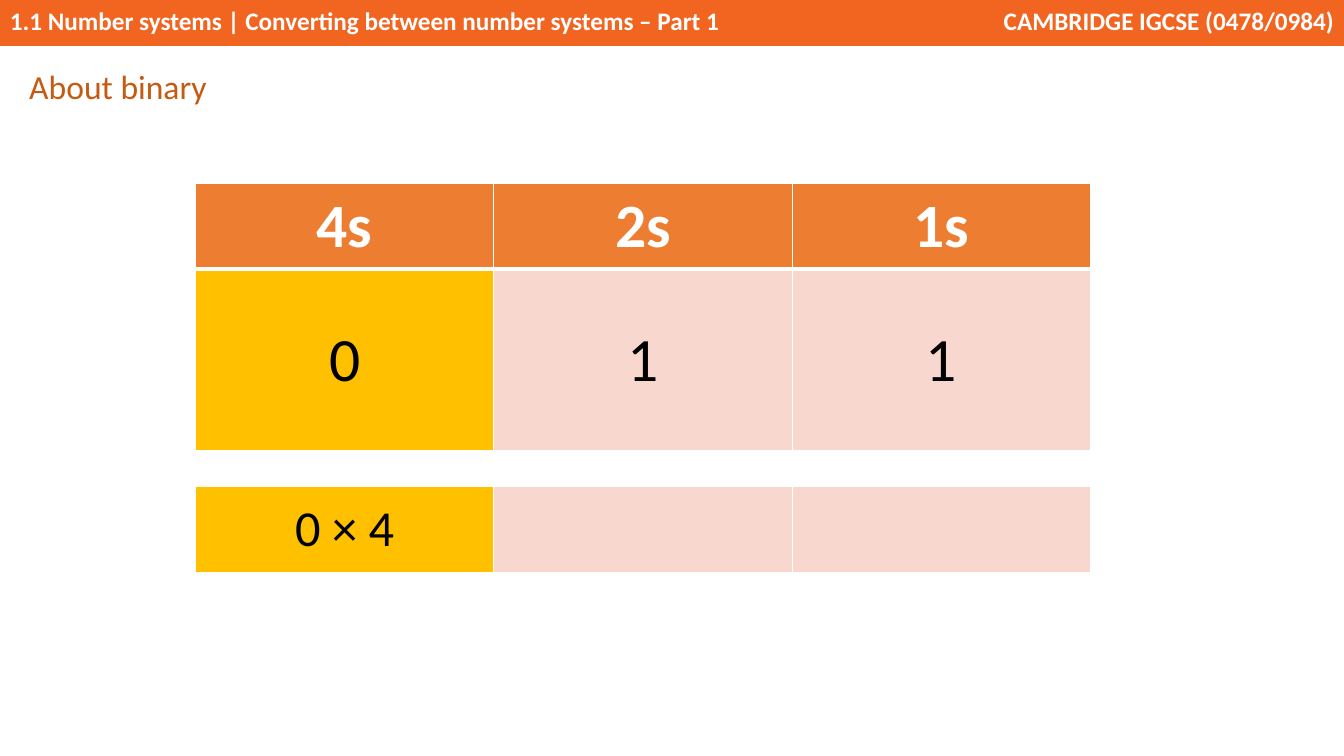
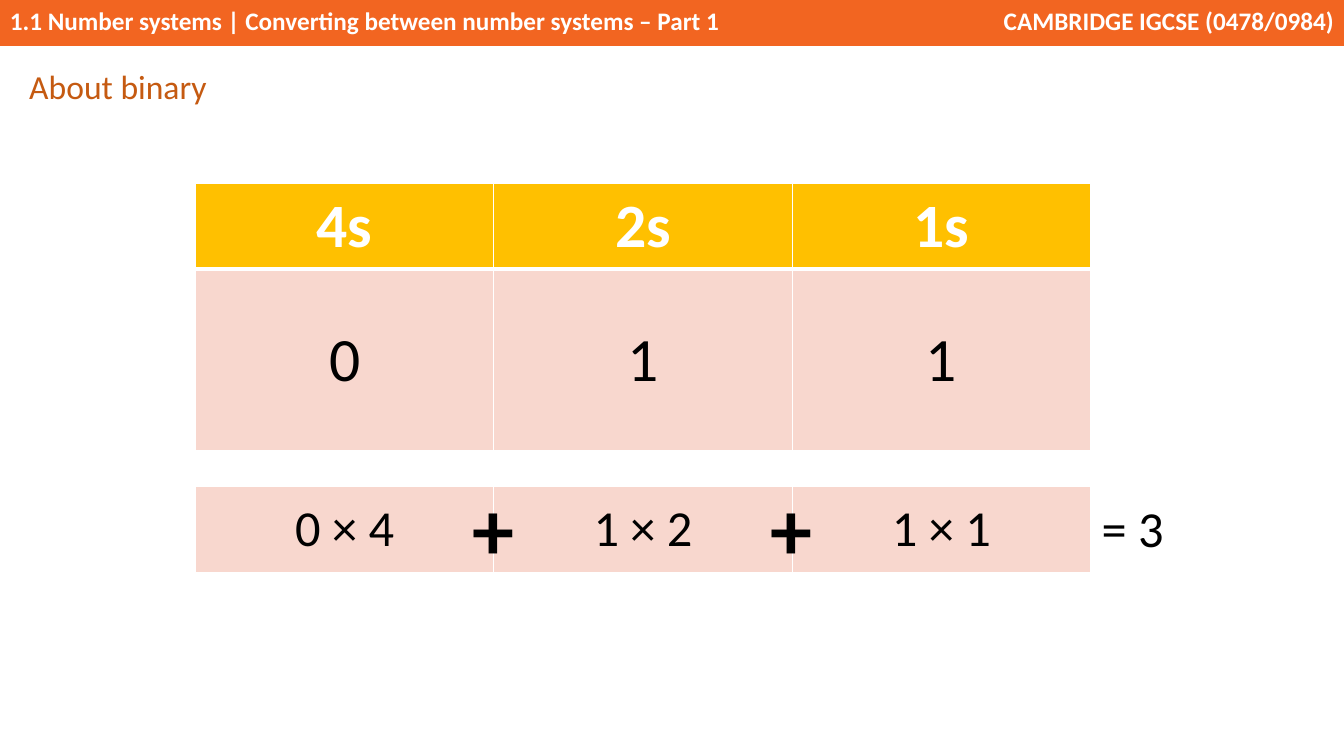
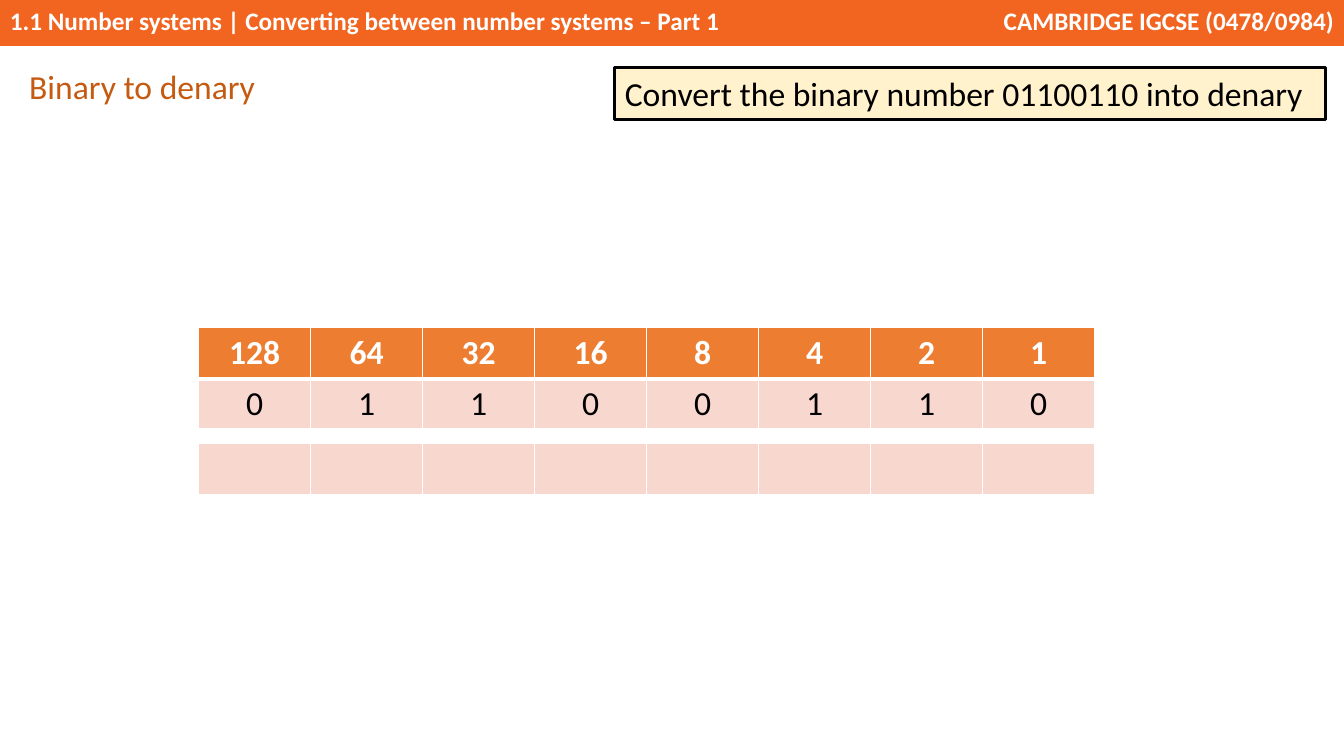
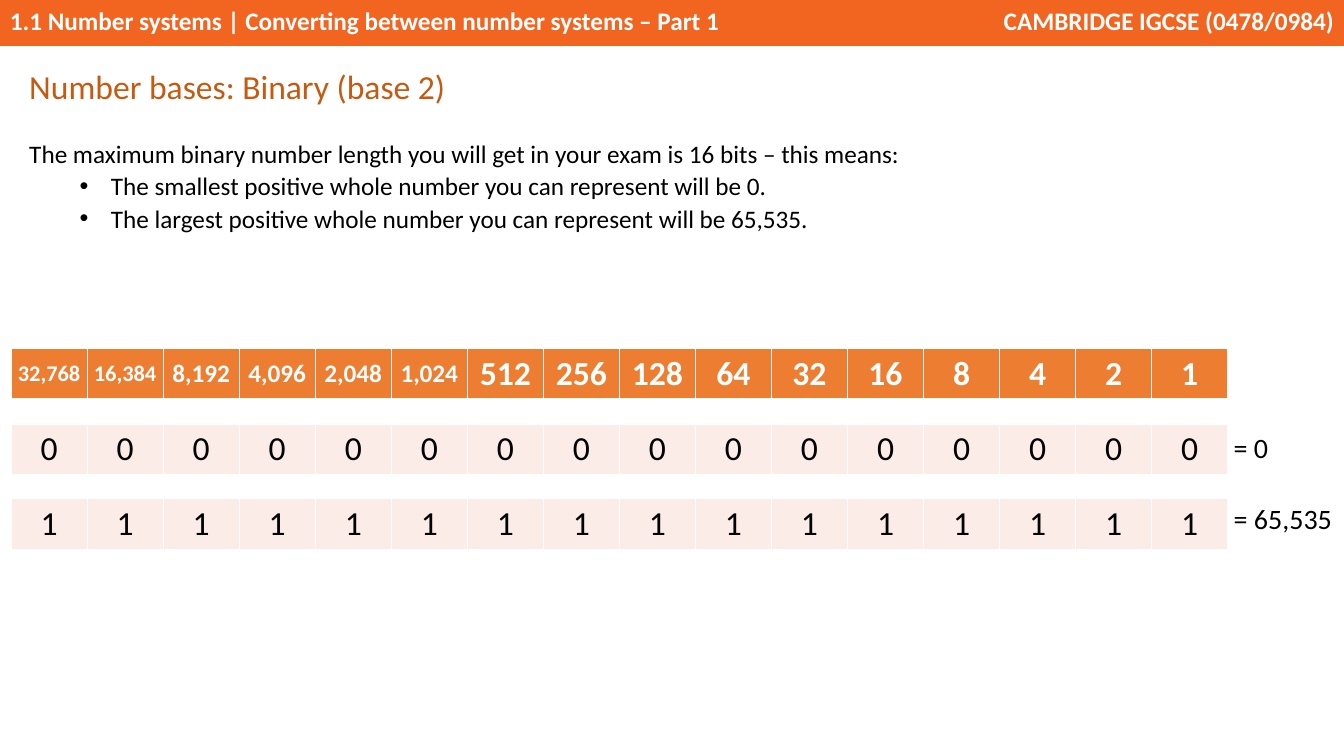
from typing import NamedTuple

from lxml import etree
from pptx import Presentation
from pptx.dml.color import RGBColor
from pptx.enum.shapes import MSO_SHAPE
from pptx.enum.text import MSO_ANCHOR, MSO_AUTO_SIZE, PP_ALIGN
from pptx.oxml.ns import qn
from pptx.util import Inches, Pt

WHITE = RGBColor(0xFF, 0xFF, 0xFF)
BLACK = RGBColor(0, 0, 0)
FLAME = RGBColor(0xF2, 0x65, 0x21)
RUST = RGBColor(0xC5, 0x5A, 0x11)
ORANGE = RGBColor(0xED, 0x7D, 0x31)
GOLD = RGBColor(0xFF, 0xC0, 0x00)
PINK = RGBColor(0xF8, 0xD7, 0xCE)
BLUSH = RGBColor(0xFC, 0xEC, 0xE8)
CREAM = RGBColor(0xFF, 0xF2, 0xCC)

RECT = MSO_SHAPE.RECTANGLE
LEFT, MID, RIGHT = PP_ALIGN.LEFT, PP_ALIGN.CENTER, PP_ALIGN.RIGHT
TOP, CENTRE = MSO_ANCHOR.TOP, MSO_ANCHOR.MIDDLE
FIXED = MSO_AUTO_SIZE.NONE

FONT = "Calibri"
COLS, ROWS = 40, 22.5
WIDE, HIGH = Inches(13.333), Inches(7.5)
LISTED, PLAIN = 1, 5  # layouts with and without a body


class Row(NamedTuple):
    """A table row; fill and size hold one value, or a list with one per cell.

    Each pair in joins is the first and last cell of a merged run.
    """
    high: float
    cells: list
    fill: object = PINK
    size: object = 24
    joins: tuple = ()


def across(n):
    return int(WIDE * n / COLS)


def down(n):
    return int(HIGH * n / ROWS)


def frame(left, top, wide, high):
    return across(left), down(top), across(wide), down(high)


def spread(value, count):
    return value if isinstance(value, list) else [value] * count


def write(para, text, size=24, color=BLACK, bold=False, align=LEFT, line=None):
    para.alignment = align
    para.space_before = Pt(0)
    para.line_spacing = line
    run = para.add_run()
    run.text = text
    font = run.font
    font.name, font.size, font.bold = FONT, Pt(size), bold
    font.color.rgb = color


def bullet(para, mark, left, hang):
    """Set the indent, and the bullet sign or none."""
    props = para._p.get_or_add_pPr()
    props.set("marL", str(Inches(left)))
    props.set("indent", str(Inches(hang)))
    sign = props.makeelement(qn("a:buChar" if mark else "a:buNone"), {})
    if mark:
        sign.set("char", mark)
    props.append(sign)


def rule(cell, side, width):
    """Draw a white border; it must come before the cell's fill."""
    props = cell._tc.get_or_add_tcPr()
    line = etree.Element(qn("a:" + side), w=str(Pt(width)))
    paint = etree.SubElement(line, qn("a:solidFill"))
    etree.SubElement(paint, qn("a:srgbClr"), val=str(WHITE))
    props.insert(0, line)


class Deck:
    def __init__(self):
        self.file = Presentation()
        self.file.slide_width, self.file.slide_height = WIDE, HIGH
        self.slide = None

    def new(self, title, wide=30, layout=PLAIN):
        first = self.slide is None
        self.slide = self.file.slides.add_slide(self.file.slide_layouts[layout])
        if first:
            self.band()
        self.fill(self.slide.shapes.title, (0.57, 1.74, wide, 1.53))
        write(self.slide.shapes.title.text_frame.paragraphs[0], title,
              color=RUST, line=1.07)

    def band(self):
        """Draw the top band and move it to the master, for every slide."""
        left = self.box((0, 0, 33.12, 1.37), FLAME,
                        "1.1 Number systems | Converting between number systems – Part 1",
                        size=18, color=WHITE, bold=True)
        right = self.box((29.34, 0, 10.66, 1.37), FLAME,
                         "CAMBRIDGE IGCSE (0478/0984)",
                         size=18, color=WHITE, bold=True, align=RIGHT)
        tree = self.file.slide_master.shapes._spTree
        for num, shape in enumerate((left, right), 100):
            shape._element.nvSpPr.cNvPr.set("id", str(num))
            tree.append(shape._element)

    def fill(self, holder, at):
        """Place a placeholder and reset its frame."""
        holder.left, holder.top, holder.width, holder.height = frame(*at)
        body = holder.text_frame
        body.auto_size, body.vertical_anchor, body.word_wrap = FIXED, TOP, True

    def box(self, at, fill, text, edge=None, **form):
        shape = self.slide.shapes.add_shape(RECT, *frame(*at))
        shape.shadow.inherit = False
        shape.fill.solid()
        shape.fill.fore_color.rgb = fill
        if edge:
            shape.line.color.rgb = edge
            shape.line.width = Pt(2.25)
        else:
            shape.line.fill.background()
        shape.text_frame.vertical_anchor = TOP
        write(shape.text_frame.paragraphs[0], text, **form)
        return shape

    def label(self, at, text, **form):
        body = self.slide.shapes.add_textbox(*frame(*at)).text_frame
        body.word_wrap = True
        write(body.paragraphs[0], text, **form)

    def points(self, at, lead, items):
        holder = self.slide.placeholders[1]
        self.fill(holder, at)
        body = holder.text_frame
        para = body.paragraphs[0]
        bullet(para, None, 0, 0)
        write(para, lead, size=18, line=1.07)
        for item in items:
            para = body.add_paragraph()
            para.level = 1
            bullet(para, "•", 0.81, -0.31)
            write(para, item, size=18, line=1.07)

    def table(self, left, top, wide, rows):
        """Draw equal columns; the first row is the heading."""
        count = len(rows[0].cells)
        high = sum(row.high for row in rows)
        grid = self.slide.shapes.add_table(
            len(rows), count, *frame(left, top, wide, high)).table
        for col in grid.columns:
            col.width = across(wide / count)
        for num, row in enumerate(rows):
            grid.rows[num].height = down(row.high)
            look = dict(color=BLACK if num else WHITE, bold=not num, align=MID)
            parts = zip(grid.rows[num].cells, row.cells,
                        spread(row.fill, count), spread(row.size, count))
            for cell, text, fill, size in parts:
                self.cell(cell, text, fill, size, look)
                if num < 2:
                    rule(cell, "lnT" if num else "lnB", 3)
            for start, end in row.joins:
                grid.cell(num, start).merge(grid.cell(num, end))

    def cell(self, cell, text, fill, size, look):
        cell.fill.solid()
        cell.fill.fore_color.rgb = fill
        cell.vertical_anchor = CENTRE
        cell.margin_left = cell.margin_right = 0
        para = cell.text_frame.paragraphs[0]
        if text:
            write(para, text, size=size, **look)
        else:
            cell.margin_top = cell.margin_bottom = 0
            para._p.get_or_add_endParaRPr().set("sz", "400")


def gap(high, count, *joins):
    return Row(high, [""] * count, WHITE, joins=joins)


def places(deck, head, marks, sums):
    """Show 011 under its place values, with the sums below."""
    deck.new("About binary")
    deck.table(5.82, 5.46, 26.64, [
        Row(2.49, ["4s", "2s", "1s"], head, 44),
        Row(5.46, ["0", "1", "1"], marks, 44),
        gap(1.02, 3),
        Row(2.55, sums, marks, 36),
    ])


def main():
    deck = Deck()

    places(deck, ORANGE, [GOLD, PINK, PINK], ["0 × 4", "", ""])

    places(deck, GOLD, PINK, ["0 × 4", "1 × 2", "1 × 1"])
    for num in (1, 2):
        deck.label((4.8 + 8.88 * num, 14.04, 2, 3.33), "+",
                   size=60, bold=True, align=MID)
    deck.label((32.49, 14.64, 3, 2.13), "= 3", size=36)

    deck.new("Binary to denary", wide=10)
    deck.table(5.91, 9.75, 26.67, [
        Row(1.53, [str(2 ** n) for n in range(7, -1, -1)], ORANGE),
        Row(1.52, list("01100110")),
        gap(0.39, 8),
        Row(1.53, [""] * 8),
    ])
    deck.box((18.3, 2.01, 21.15, 1.54), CREAM,
             "Convert the binary number 01100110 into denary", edge=BLACK)

    deck.new("Number bases: Binary (base 2)", layout=LISTED)
    deck.points((0.57, 3.9, 35.16, 5.46),
                "The maximum binary number length you will get in your exam "
                "is 16 bits – this means:",
                ["The smallest positive whole number you can represent will be 0.",
                 "The largest positive whole number you can represent will be 65,535."])
    heads = [f"{2 ** n:,}" for n in range(15, -1, -1)]
    sizes = [{6: 16, 5: 18}.get(len(head), 24) for head in heads]
    low, top = (0, 7), (8, 15)
    deck.table(0.33, 10.37, 36.21, [
        Row(1.5, heads, ORANGE, sizes),
        gap(0.71, 16, top),
        Row(1.5, ["0"] * 16, BLUSH),
        gap(0.71, 16, low, top),
        Row(1.5, ["1"] * 16, BLUSH),
    ])
    for row, text in ((12.66, "= 0"), (14.79, "= 65,535")):
        deck.label((36.42, row, 3.58, 1.32), text, size=20)

    deck.file.save("out.pptx")


if __name__ == "__main__":
    main()
